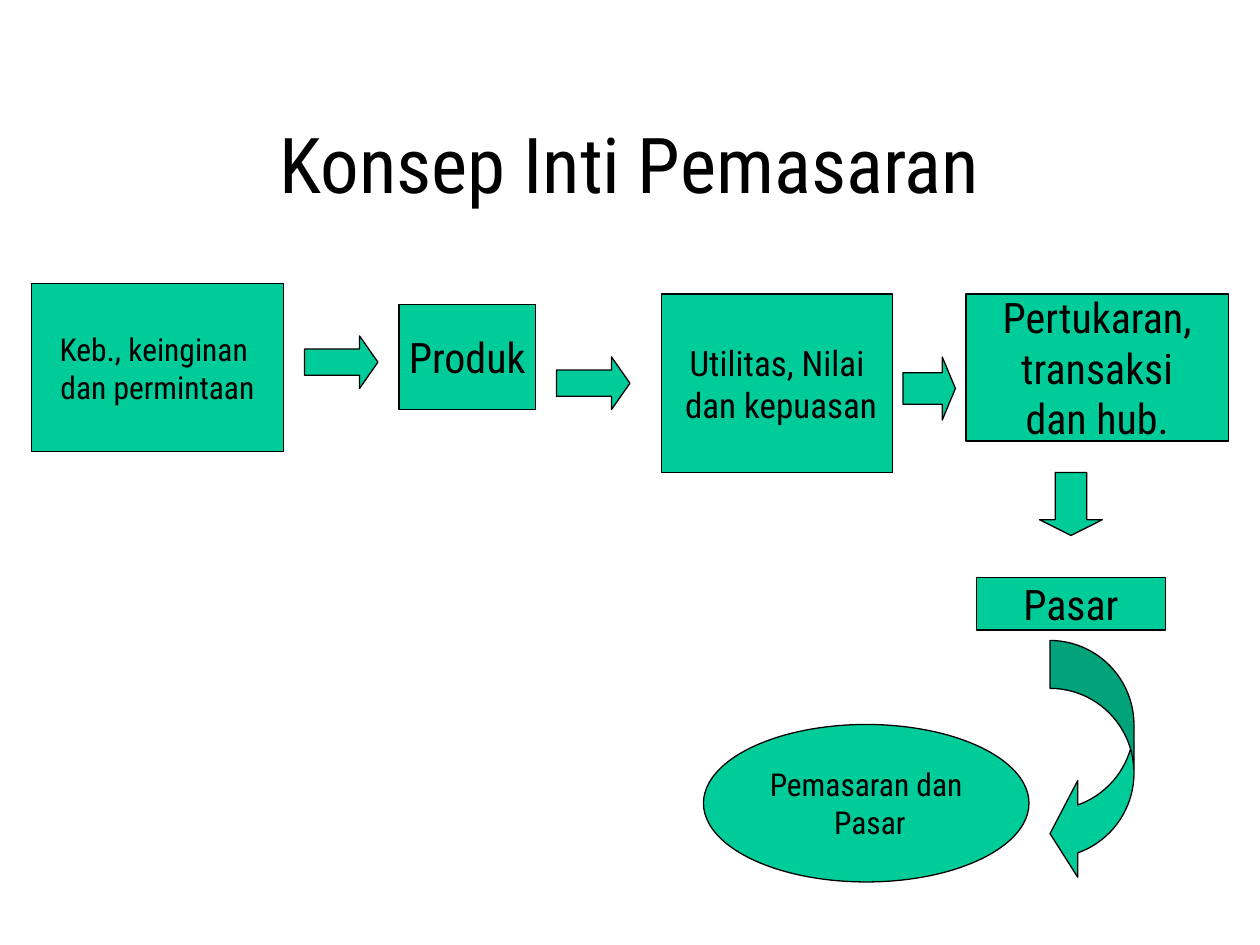
import pptx
import pptx.util
import pptx.dml.color
import pptx.enum.shapes
import pptx.enum.text

COLORS = {"fill": "00CC99", "ink": "000000"}
FONT = "Roboto Condensed"
KINDS = pptx.enum.shapes.MSO_SHAPE

deck = pptx.Presentation()
deck.slide_width = pptx.util.Inches(10)
deck.slide_height = pptx.util.Inches(7.5)
page = deck.slides.add_slide(deck.slide_layouts[5])

# Grid of 120 columns by 90 rows
COLUMN = deck.slide_width / 120
ROW = deck.slide_height / 90


def write_lines(shape, lines, size, wrap):
    frame = shape.text_frame
    frame.word_wrap = wrap
    frame.vertical_anchor = pptx.enum.text.MSO_ANCHOR.MIDDLE
    for index, line in enumerate(lines):
        para = frame.paragraphs[0] if index == 0 else frame.add_paragraph()
        para.alignment = pptx.enum.text.PP_ALIGN.CENTER
        span = para.add_run()
        span.text = line
        span.font.color.rgb = pptx.dml.color.RGBColor.from_string(COLORS["ink"])
        style = {"name": FONT, "size": pptx.util.Pt(size)}
        for key, value in style.items():
            setattr(span.font, key, value)


def add_figure(kind, left, top, width, height):
    shape = page.shapes.add_shape(
        kind, round(left * COLUMN), round(top * ROW),
        round(width * COLUMN), round(height * ROW))
    shape.shadow.inherit = False
    shape.fill.solid()
    shape.fill.fore_color.rgb = pptx.dml.color.RGBColor.from_string(COLORS["fill"])
    shape.line.color.rgb = pptx.dml.color.RGBColor.from_string(COLORS["ink"])
    shape.line.width = pptx.util.Pt(0.75)
    return shape


# Title
title = page.shapes.title
place = {"left": 9 * COLUMN, "top": 8 * ROW, "width": 102 * COLUMN, "height": 15 * ROW}
for key, value in place.items():
    setattr(title, key, round(value))
write_lines(title, ["Konsep Inti Pemasaran"], 44, True)

# Concepts: kind, grid place, text size, lines
concepts = [
    (KINDS.RECTANGLE, (3, 27, 24, 16), 18, ["Keb., keinginan ", "dan permintaan"]),
    (KINDS.RECTANGLE, (38, 29, 13, 10), 24, ["Produk"]),
    (KINDS.RECTANGLE, (63, 28, 22, 17), 20, ["Utilitas, Nilai", " dan kepuasan"]),
    (KINDS.RECTANGLE, (92, 28, 25, 14), 24, ["Pertukaran,", " transaksi ", "dan hub."]),
    (KINDS.RECTANGLE, (93, 55, 18, 5), 24, ["Pasar"]),
    (KINDS.OVAL, (67, 69, 31, 15), 18, ["Pemasaran dan", " Pasar"]),
]
for kind, cells, size, lines in concepts:
    write_lines(add_figure(kind, *cells), lines, size, False)

# Arrows between the concepts: kind, grid place, adjustments
arrows = [
    (KINDS.RIGHT_ARROW, (29, 32, 7, 5), (0.5, 0.35)),
    (KINDS.RIGHT_ARROW, (53, 34, 7, 5), (0.5, 0.35)),
    (KINDS.RIGHT_ARROW, (86, 34, 5, 6), (0.5, 0.25)),
    (KINDS.DOWN_ARROW, (99, 45, 6, 6), (0.5, 0.25)),
    (KINDS.CURVED_LEFT_ARROW, (100, 61, 8, 23), (0.57, 1.15, 0.33)),
]
for kind, cells, adjustments in arrows:
    arrow = add_figure(kind, *cells)
    for index, value in enumerate(adjustments):
        arrow.adjustments[index] = value

deck.save("out.pptx")
